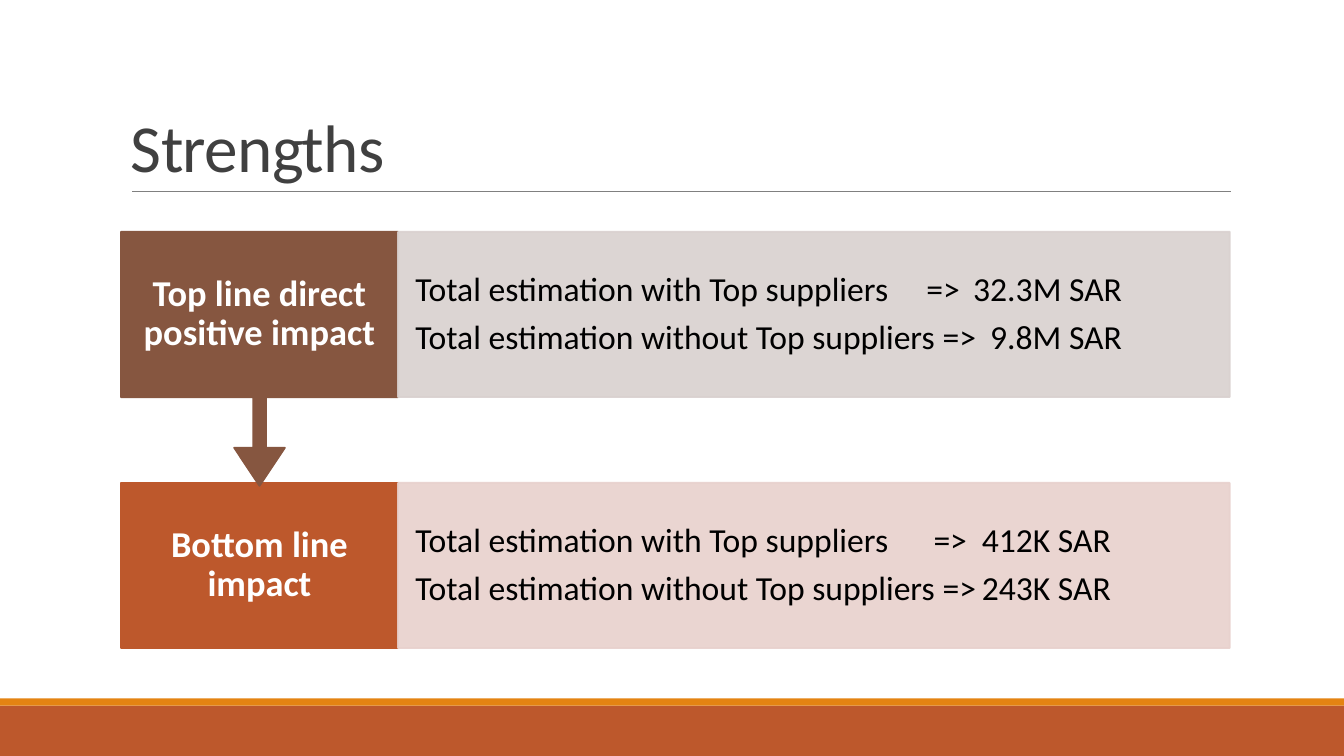
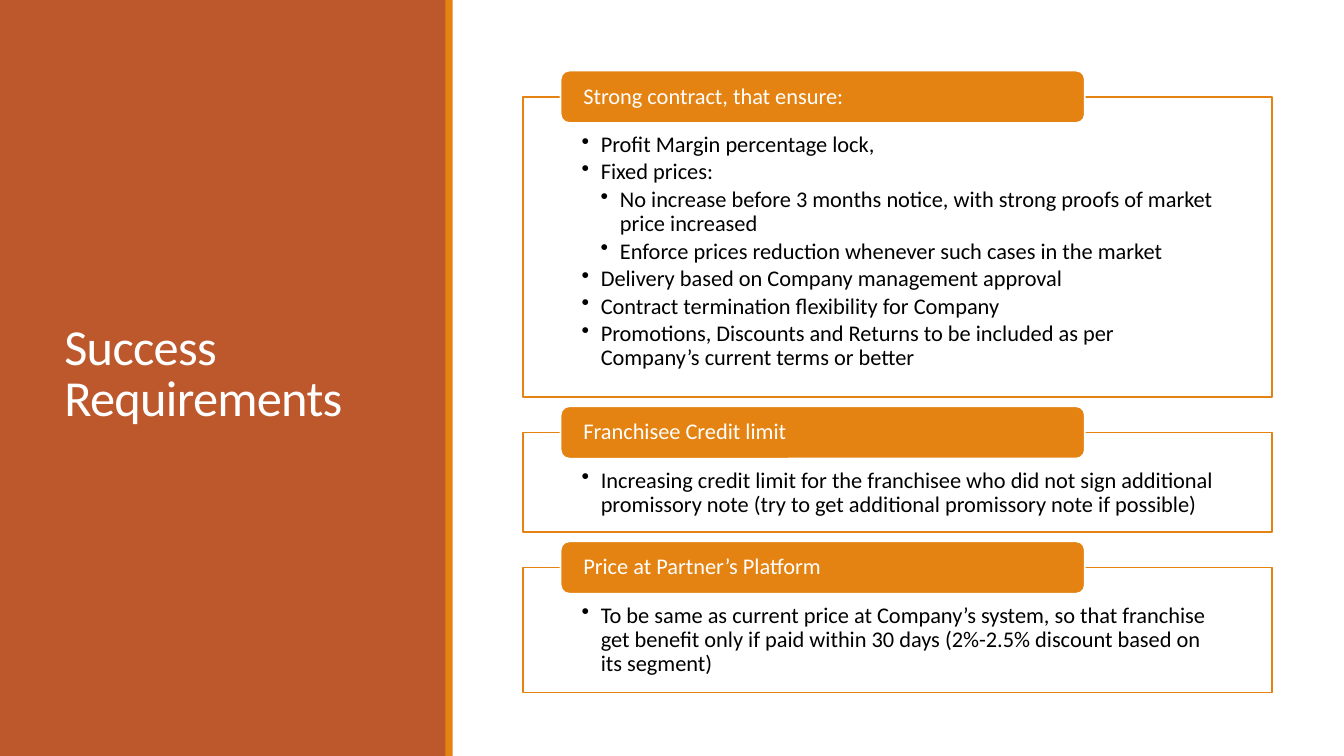
import pptx
import pptx.util
import pptx.dml.color
import pptx.enum.shapes
import pptx.enum.text
import pptx.oxml
import pptx.oxml.ns

SHAPE = pptx.enum.shapes.MSO_SHAPE
ALIGN = pptx.enum.text.PP_ALIGN
ANCHOR = pptx.enum.text.MSO_ANCHOR

RUST, ORANGE, BROWN = "BD582C", "E48312", "865640"
WHITE, BLACK, CHARCOAL, GREY = "FFFFFF", "000000", "404040", "808080"
SAND, BLUSH = "D9D1CF", "E8D1CD"


def paint(color_format, color):
    color_format.rgb = pptx.dml.color.RGBColor.from_string(color)


def add_xml(parent, tag, **attributes):
    element = pptx.oxml.parse_xml(f"<a:{tag} {pptx.oxml.ns.nsdecls('a')}/>")
    for key, value in attributes.items():
        element.set(key, str(value))
    parent.append(element)
    return element


def write(shape, lines, size=16, color=BLACK, bold=False, align=ALIGN.LEFT,
          anchor=ANCHOR.MIDDLE, insets=(0.1, 0.05), bottom=None, spacing=0.9,
          after=0, tracking=None, levels=(), stops=()):
    frame = shape.text_frame
    frame.word_wrap = True
    frame.vertical_anchor = anchor
    side, top = (pptx.util.Inches(inset) for inset in insets)
    frame.margin_left = frame.margin_right = side
    frame.margin_top = top
    frame.margin_bottom = top if bottom is None else pptx.util.Inches(bottom)
    for index, line in enumerate(lines):
        paragraph = frame.add_paragraph() if index else frame.paragraphs[0]
        paragraph.alignment = align
        paragraph.line_spacing = spacing
        if index < len(lines) - 1:
            paragraph.space_after = pptx.util.Pt(after)
        run = paragraph.add_run()
        run.text = line
        run.font.name = "Calibri"
        run.font.size = pptx.util.Pt(size)
        run.font.bold = bold
        paint(run.font.color, color)
        if tracking is not None:
            run.font._element.set("spc", str(int(tracking * 100)))
        properties = paragraph._p.get_or_add_pPr()
        if levels:
            step = pptx.util.Inches(0.19)
            paragraph.level = levels[index]
            properties.set("marL", str(step * levels[index]))
            properties.set("indent", str(-step))
            add_xml(properties, "buChar", char="•")
        if stops:
            tabs = add_xml(properties, "tabLst")
            for position, side_name in zip(stops[index], ("l", "r")):
                add_xml(tabs, "tab", pos=pptx.util.Inches(position), algn=side_name)


class Deck:
    COLUMNS, ROWS = 80, 45
    STRIPE = 0.42

    def __init__(self):
        self.file = pptx.Presentation()
        self.file.slide_width = pptx.util.Inches(13.33)
        self.file.slide_height = pptx.util.Inches(7.5)
        self.slide = None

    def new_slide(self):
        self.slide = self.file.slides.add_slide(self.file.slide_layouts[6])

    def place(self, column, row):
        return (round(self.file.slide_width * column / self.COLUMNS),
                round(self.file.slide_height * row / self.ROWS))

    def block(self, column, row, columns, rows, fill, line=None, kind=SHAPE.RECTANGLE,
              opacity=None, line_opacity=None, adjustments=()):
        shape = self.slide.shapes.add_shape(
            kind, *self.place(column, row), *self.place(columns, rows))
        shape.shadow.inherit = False
        for index, value in enumerate(adjustments):
            shape.adjustments[index] = value
        shape.fill.solid()
        paint(shape.fill.fore_color, fill)
        if line:
            shape.line.width = pptx.util.Pt(1.25)
            paint(shape.line.color, line)
        else:
            shape.line.fill.background()
        for path_to_color, share in (("a:solidFill/a:srgbClr", opacity),
                                     ("a:ln/a:solidFill/a:srgbClr", line_opacity)):
            if share is not None:
                color = shape._element.spPr.find(path_to_color, pptx.oxml.ns._nsmap)
                add_xml(color, "alpha", val=int(share * 100000))
        return shape

    def title(self, column, row, columns, rows, text, size, color, anchor):
        box = self.slide.shapes.add_textbox(
            *self.place(column, row), *self.place(columns, rows))
        write(box, [text], size=size, color=color, anchor=anchor,
              spacing=0.85, tracking=-0.5)

    def rule(self, start, end, row):
        line = self.slide.shapes.add_connector(
            pptx.enum.shapes.MSO_CONNECTOR.STRAIGHT,
            *self.place(start, row), *self.place(end, row))
        line.line.width = pptx.util.Pt(0.5)
        paint(line.line.color, GREY)
        add_xml(line._element.spPr, "effectLst")

    def impact(self, row, heading, color, tint, figures, stops, arrow_rows=0):
        left, unit, rows = 7.2, 16.5, 9.84
        if arrow_rows:
            total = rows + arrow_rows
            label = self.block(left, row, unit, total, color, color,
                               kind=SHAPE.DOWN_ARROW_CALLOUT,
                               adjustments=(0.05, 0.1, 0.15, rows / total))
        else:
            label = self.block(left, row, unit, rows, color, color)
        write(label, [heading], size=26, color=WHITE, bold=True,
              align=ALIGN.CENTER, insets=(0.2, 0.2))
        detail = self.block(left + unit, row, 3 * unit, rows, tint, tint,
                            opacity=0.9, line_opacity=0.9)
        write(detail, figures, size=24, insets=(0.17, 0.33), after=8.4, stops=stops)

    def requirement(self, row, rows, heading, points, levels):
        left, columns, tab_rows = 31.14, 44.58, 3.12
        body = self.block(left, row, columns, rows, WHITE, ORANGE, opacity=0.9)
        write(body, points, anchor=ANCHOR.TOP, insets=(0.58, 0.36), bottom=0.12,
              after=2.4, levels=levels)
        tab = self.block(left + 0.05 * columns, row - tab_rows / 2, 0.7 * columns,
                         tab_rows, ORANGE, WHITE, kind=SHAPE.ROUNDED_RECTANGLE)
        write(tab, [heading], color=WHITE, insets=(0.2, 0))


def strengths(deck):
    deck.new_slide()
    deck.block(0, 42, deck.COLUMNS, 3, RUST)
    deck.block(0, 42 - deck.STRIPE, deck.COLUMNS, deck.STRIPE, ORANGE)
    deck.rule(7.86, 73.26, 11.4)
    deck.title(7.2, 1.86, 66, 9.54, "Strengths", 48, CHARCOAL, ANCHOR.BOTTOM)
    top, pitch = 13.8, 14.94
    deck.impact(top + pitch, "Bottom line impact", RUST, BLUSH,
                ["Total estimation with Top suppliers\t=>\t412K SAR",
                 "Total estimation without Top suppliers\t=>\t243K SAR"],
                [(5.14, 6.9), (5.23, 6.9)])
    deck.impact(top, "Top line direct positive impact", BROWN, SAND,
                ["Total estimation with Top suppliers\t=>\t32.3M SAR",
                 "Total estimation without Top suppliers\t=>\t9.8M SAR"],
                [(5.07, 7.01), (5.23, 7.01)], arrow_rows=5.28)


def success_requirements(deck):
    deck.new_slide()
    deck.block(0, 0, 26.55, deck.ROWS, RUST)
    deck.title(3.24, 3.42, 20.22, 37.86, "Success Requirements", 36, WHITE, ANCHOR.MIDDLE)
    deck.block(26.52, 0, deck.STRIPE, deck.ROWS, ORANGE)
    requirements = [
        (17.88, "Strong contract, that ensure:", [
            ("Profit Margin percentage lock,", 1),
            ("Fixed prices:", 1),
            ("No increase before 3 months notice, with strong proofs of market "
             "price increased", 2),
            ("Enforce prices reduction whenever such cases in the market", 2),
            ("Delivery based on Company management approval", 1),
            ("Contract termination flexibility for Company", 1),
            ("Promotions, Discounts and Returns to be included as per Company’s "
             "current terms or better", 1)]),
        (5.94, "Franchisee Credit limit", [
            ("Increasing credit limit for the franchisee who did not sign additional "
             "promissory note (try to get additional promissory note if possible)", 1)]),
        (7.44, "Price at Partner’s Platform", [
            ("To be same as current price at Company’s system, so that franchise "
             "get benefit only if paid within 30 days (2%-2.5% discount based on "
             "its segment)", 1)]),
    ]
    row, gap = 5.76, 2.1
    for rows, heading, points in requirements:
        texts, levels = zip(*points)
        deck.requirement(row, rows, heading, texts, levels)
        row += rows + gap


def main():
    deck = Deck()
    strengths(deck)
    success_requirements(deck)
    deck.file.save("out.pptx")


if __name__ == "__main__":
    main()
